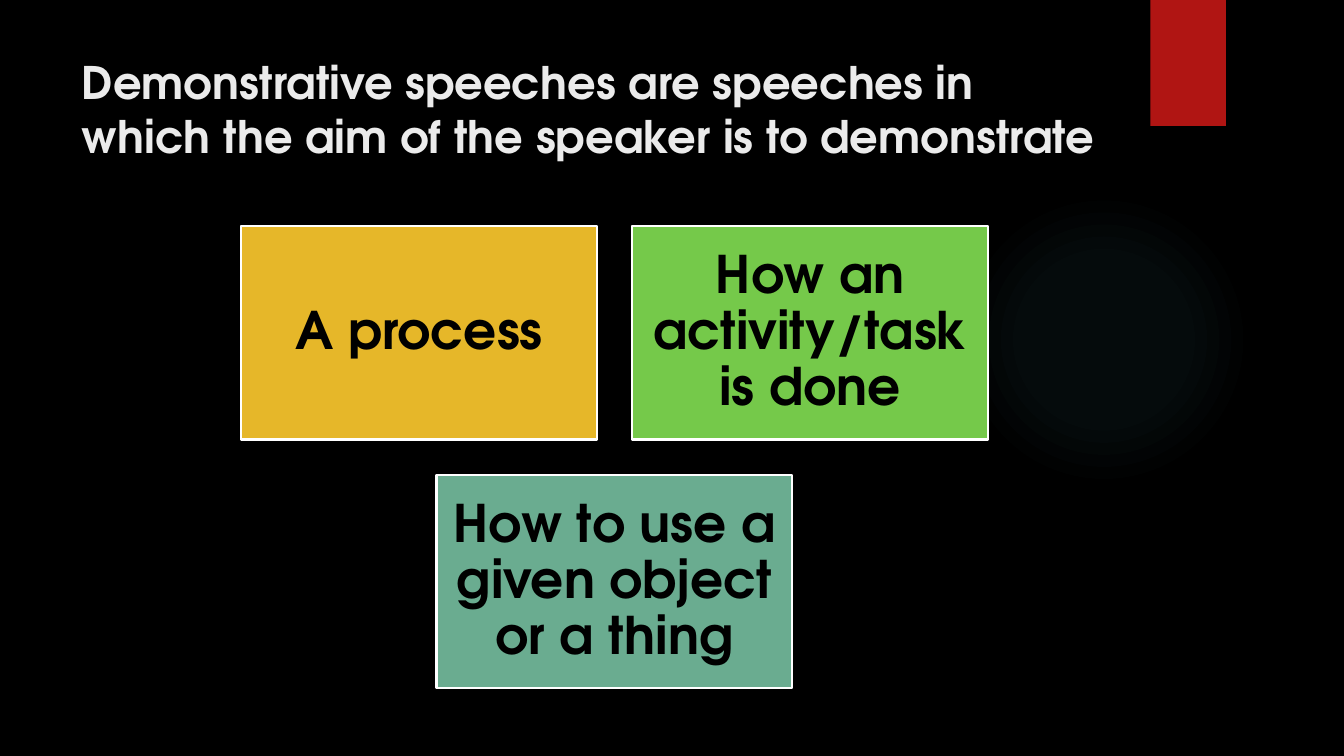
from lxml import etree
from pptx import Presentation
from pptx import util as u
from pptx.dml.color import RGBColor
from pptx.enum import shapes, text
from pptx.oxml import parse_xml
from pptx.oxml.ns import nsdecls, qn

FONT = "TeX Gyre Adventor"
COLORS = {
    "background": "000000",
    "glow_center": "060D0E",
    "glow_middle": "050B0C",
    "ribbon": "B01513",
    "title": "EBEBEB",
    "card_text": "000000",
    "card_line": "FFFFFF",
    "gold": "E6B729",
    "green": "75C94A",
    "teal": "6AAC90",
}
TITLE = "Demonstrative speeches are speeches in which the aim of the speaker is to demonstrate"
CARDS = [
    ("A process", "gold", 0, 0),
    ("How an activity/task is done", "green", 1, 0),
    ("How to use a given object or a thing", "teal", 0.5, 1),
]
GLOW_STOPS = [(0, "glow_center"), (36, "glow_middle"), (69, "background")]
CARD_LEFT, CARD_TOP = 2.39, 2.24
CARD_WIDTH, CARD_HEIGHT = 3.53, 2.12
CARD_GAP = 0.35


def rgb(name):
    return RGBColor.from_string(COLORS[name])


def add_run(p, content, size, color):
    r = p.add_run()
    r.text = content
    r.font.name = FONT
    r.font.size = u.Pt(size)
    r.font.bold = True
    r.font.color.rgb = rgb(color)


def add_block(parent, kind, left, top, width, height):
    sp = parent.add_shape(kind, u.Inches(left), u.Inches(top), u.Inches(width), u.Inches(height))
    sp.shadow.inherit = False
    sp.line.fill.background()
    return sp


def fill_solid(sp, color):
    sp.fill.solid()
    sp.fill.fore_color.rgb = rgb(color)


def add_glow(s):
    sp = add_block(s.shapes, shapes.MSO_SHAPE.OVAL, 9.41, 1.83, 3.08, 3.08)
    stops = "".join(
        f'<a:gs pos="{pos * 1000}"><a:srgbClr val="{COLORS[color]}"/></a:gs>'
        for pos, color in GLOW_STOPS
    )
    gradient = parse_xml(
        f'<a:gradFill {nsdecls("a")} rotWithShape="1"><a:gsLst>{stops}</a:gsLst>'
        '<a:path path="circle"><a:fillToRect l="50000" t="50000" r="50000" b="50000"/></a:path>'
        '</a:gradFill>'
    )
    sp.element.spPr.find(qn("a:prstGeom")).addnext(gradient)


def add_ribbon(s):
    sp = add_block(s.shapes, shapes.MSO_SHAPE.RECTANGLE, 11.41, 0, 0.75, 1.25)
    fill_solid(sp, "ribbon")
    effects = sp.element.spPr.find(qn("a:effectLst"))
    shadow = etree.SubElement(effects, qn("a:outerShdw"), blurRad=str(u.Pt(3)),
                              dist=str(u.Pt(2)), dir="5400000", rotWithShape="0")
    color = etree.SubElement(shadow, qn("a:srgbClr"), val="000000")
    etree.SubElement(color, qn("a:alpha"), val="45000")


def set_title(s):
    title = s.shapes.title
    title.left, title.top = u.Inches(0.71), u.Inches(0.49)
    title.width, title.height = u.Inches(10.29), u.Inches(1.53)
    tf = title.text_frame
    tf.word_wrap = True
    tf.auto_size = text.MSO_AUTO_SIZE.NONE
    tf.vertical_anchor = text.MSO_ANCHOR.TOP
    p = tf.paragraphs[0]
    p.alignment = text.PP_ALIGN.LEFT
    p.line_spacing = 1.0
    add_run(p, TITLE, 32, "title")


def add_card(group, label, color, column, row):
    sp = add_block(
        group.shapes, shapes.MSO_SHAPE.RECTANGLE,
        CARD_LEFT + column * (CARD_WIDTH + CARD_GAP),
        CARD_TOP + row * (CARD_HEIGHT + CARD_GAP),
        CARD_WIDTH, CARD_HEIGHT,
    )
    fill_solid(sp, color)
    sp.line.color.rgb = rgb("card_line")
    sp.line.width = u.Pt(1.5)
    tf = sp.text_frame
    tf.word_wrap = True
    tf.vertical_anchor = text.MSO_ANCHOR.MIDDLE
    tf.margin_left = tf.margin_right = tf.margin_top = tf.margin_bottom = u.Inches(0.15)
    p = tf.paragraphs[0]
    p.alignment = text.PP_ALIGN.CENTER
    p.line_spacing = 0.9
    add_run(p, label, 37, "card_text")


def main():
    prs = Presentation()
    prs.slide_width, prs.slide_height = u.Inches(13.33), u.Inches(7.5)
    s = prs.slides.add_slide(prs.slide_layouts[5])
    s.background.fill.solid()
    s.background.fill.fore_color.rgb = rgb("background")
    add_glow(s)
    add_ribbon(s)
    set_title(s)
    group = s.shapes.add_group_shape()
    for card in CARDS:
        add_card(group, *card)
    prs.save("out.pptx")


if __name__ == "__main__":
    main()
